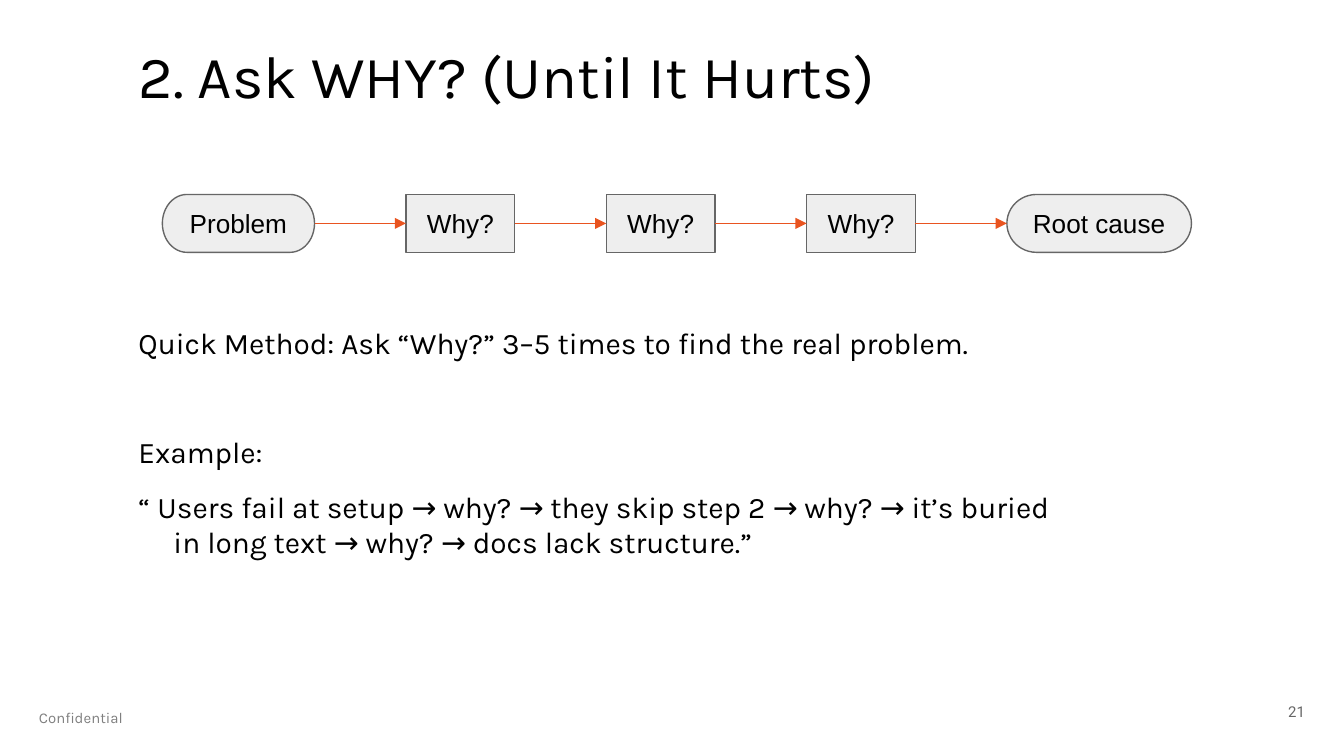
from itertools import pairwise

from lxml import etree
from pptx import Presentation
from pptx.dml.color import RGBColor
from pptx.enum import shapes, text
from pptx.oxml.ns import qn
from pptx.util import Pt

THEME = {
    "ink": RGBColor(0x00, 0x00, 0x00),
    "outline": RGBColor(0x66, 0x66, 0x66),
    "footer": RGBColor(0x7F, 0x7F, 0x7F),
    "box": RGBColor(0xEE, 0xEE, 0xEE),
    "accent": RGBColor(0xE9, 0x54, 0x20),
    "title_size": 32, "body_size": 16, "step_size": 14, "small_size": 8,
    "heading_font": "Karla", "step_font": "Arial", "number_font": "Roboto",
    "line_width": 0.75,
}

TITLE = "2. Ask WHY? (Until It Hurts)"
FOOTER = "Confidential"
PAGE_NUMBER = "21"
# Lines of the paragraph, space before, hanging indent
BODY = [
    (["Quick Method: Ask “Why?” 3–5 times to find the real problem."], 0, 0),
    (["Example:"], 39, 0),
    (["“ Users fail at setup → why? → they skip step 2 → why? → it’s buried",
      "in long text → why? → docs lack structure.”"], 10, 18.75),
]
TERMINATOR = shapes.MSO_SHAPE.FLOWCHART_TERMINATOR
RECTANGLE = shapes.MSO_SHAPE.RECTANGLE
# Label, shape, width
STEPS = [
    ("Problem", TERMINATOR, 81.5),
    ("Why?", RECTANGLE, 58.3),
    ("Why?", RECTANGLE, 58.3),
    ("Why?", RECTANGLE, 58.3),
    ("Root cause", TERMINATOR, 98.9),
]
CHAIN_LEFT, CHAIN_TOP, STEP_HEIGHT, STEP_GAP = 87, 104.2, 31, 49


def set_margins(frame, margin):
    frame.margin_left = frame.margin_right = Pt(margin)
    frame.margin_top = frame.margin_bottom = Pt(margin)


def add_run(paragraph, words, size, font, color):
    run = paragraph.add_run()
    run.text = words
    run.font.size = Pt(size)
    run.font.name = font
    run.font.color.rgb = color


def add_text_frame(slide, left, top, width, height, margin=0):
    box = slide.shapes.add_textbox(Pt(left), Pt(top), Pt(width), Pt(height))
    frame = box.text_frame
    frame.word_wrap = True
    set_margins(frame, margin)
    return frame


def add_body(slide):
    frame = add_text_frame(slide, 74.2, 174.2, 570, 162.7)
    for index, (lines, space_before, hanging) in enumerate(BODY):
        paragraph = frame.add_paragraph() if index else frame.paragraphs[0]
        paragraph.space_before = Pt(space_before)
        if hanging:
            properties = paragraph._p.get_or_add_pPr()
            properties.set("marL", str(Pt(hanging)))
            properties.set("indent", str(-Pt(hanging)))
        for number, line in enumerate(lines):
            if number:
                paragraph.add_line_break()
            add_run(paragraph, line, THEME["body_size"], THEME["heading_font"], THEME["ink"])


def add_step(slide, label, kind, left, width):
    shape = slide.shapes.add_shape(kind, Pt(left), Pt(CHAIN_TOP), Pt(width), Pt(STEP_HEIGHT))
    shape.shadow.inherit = False
    shape.fill.solid()
    shape.fill.fore_color.rgb = THEME["box"]
    shape.line.color.rgb = THEME["outline"]
    shape.line.width = Pt(THEME["line_width"])
    frame = shape.text_frame
    frame.word_wrap = False
    frame.vertical_anchor = text.MSO_ANCHOR.MIDDLE
    set_margins(frame, 7.2)
    paragraph = frame.paragraphs[0]
    paragraph.alignment = text.PP_ALIGN.CENTER
    add_run(paragraph, label, THEME["step_size"], THEME["step_font"], THEME["ink"])
    return shape


def add_arrow(slide, source, target):
    connector = slide.shapes.add_connector(shapes.MSO_CONNECTOR.STRAIGHT, 0, 0, 0, 0)
    connector.begin_connect(source, 3)
    connector.end_connect(target, 1)
    connector.line.color.rgb = THEME["accent"]
    connector.line.width = Pt(THEME["line_width"])
    etree.SubElement(connector.line._get_or_add_ln(), qn("a:tailEnd"), type="triangle")
    etree.SubElement(connector._element.spPr, qn("a:effectLst"))


def add_chain(slide):
    left = CHAIN_LEFT
    steps = []
    for label, kind, width in STEPS:
        steps.append(add_step(slide, label, kind, left, width))
        left += width + STEP_GAP
    for source, target in pairwise(steps):
        add_arrow(slide, source, target)


def main():
    presentation = Presentation()
    presentation.slide_width, presentation.slide_height = Pt(720), Pt(405)
    slide = presentation.slides.add_slide(presentation.slide_layouts[6])

    title = add_text_frame(slide, 74.2, 20.9, 625, 39.6).paragraphs[0]
    add_run(title, TITLE, THEME["title_size"], THEME["heading_font"], THEME["ink"])
    add_body(slide)

    number = add_text_frame(slide, 663, 371.5, 43.2, 31, margin=7.2).paragraphs[0]
    number.alignment = text.PP_ALIGN.RIGHT
    add_run(number, PAGE_NUMBER, THEME["small_size"], THEME["number_font"], THEME["outline"])
    footer = add_text_frame(slide, 20.9, 379.4, 98.6, 13.7).paragraphs[0]
    add_run(footer, FOOTER, THEME["small_size"], THEME["heading_font"], THEME["footer"])

    add_chain(slide)
    presentation.save("out.pptx")


if __name__ == "__main__":
    main()
